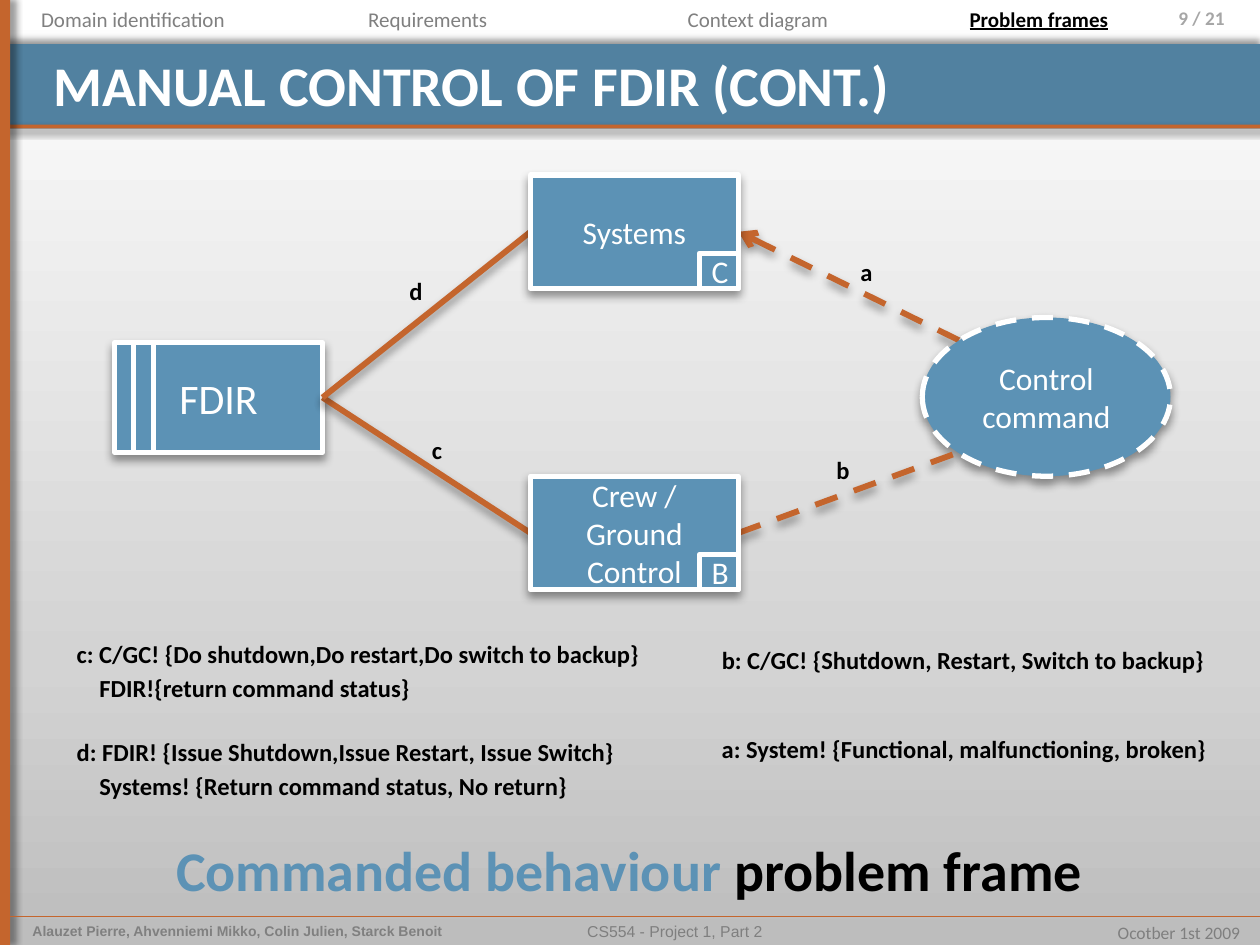
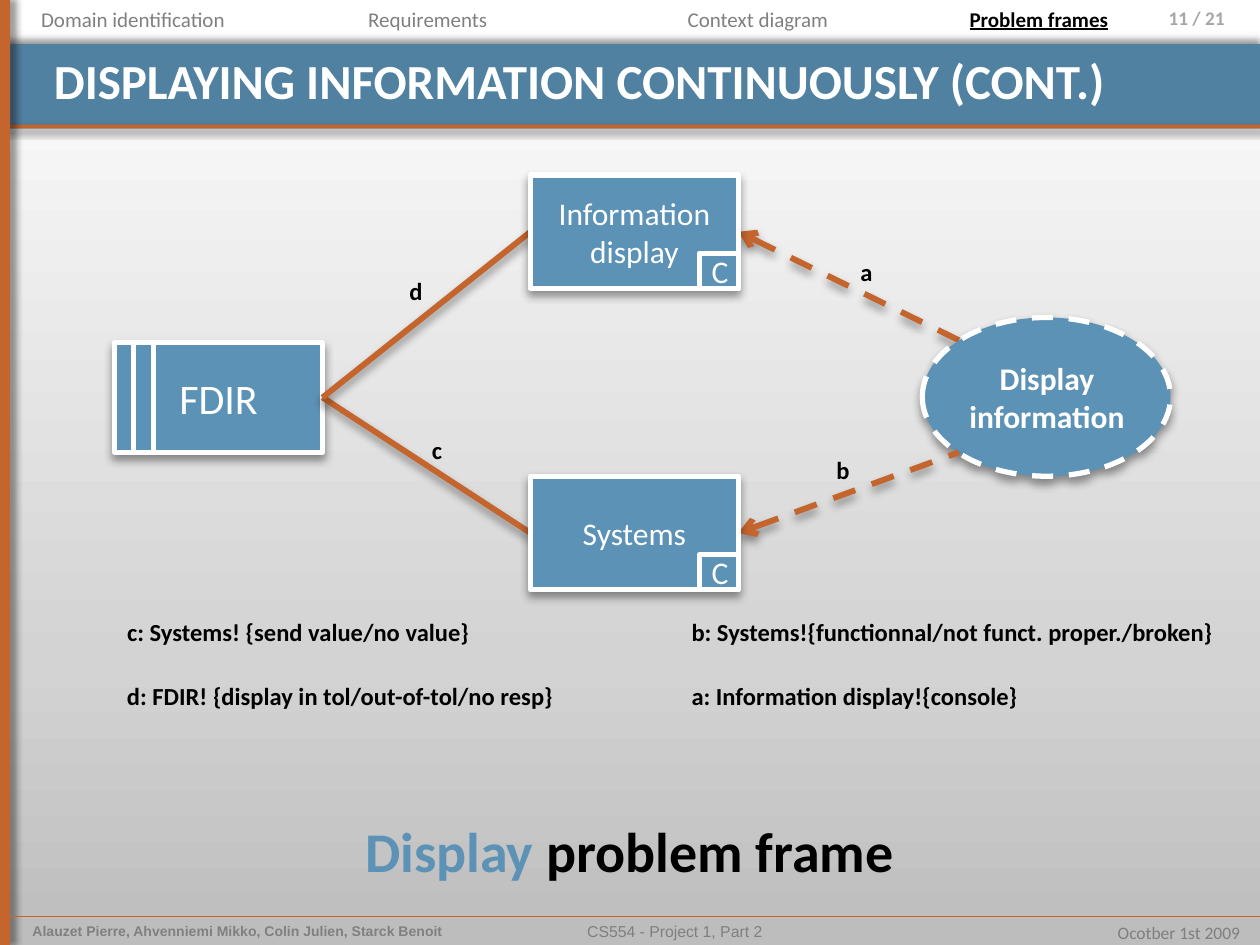
from copy import deepcopy
from dataclasses import dataclass

from lxml.etree import SubElement
from pptx import Presentation
from pptx.dml.color import RGBColor
from pptx.enum.dml import MSO_LINE_DASH_STYLE as Dash
from pptx.enum.shapes import MSO_CONNECTOR as Connector, MSO_SHAPE as Shape
from pptx.enum.text import MSO_ANCHOR as Anchor, PP_ALIGN as Align
from pptx.oxml.ns import qn
from pptx.util import Inches, Pt


@dataclass(frozen=True)
class Style:
    size: float
    color: str
    bold: bool = False
    underline: bool = False
    font: str = "Calibri"


@dataclass(frozen=True)
class Theme:
    band = "5181A0"
    accent = "C4652D"
    box = "5C92B5"
    white = "FFFFFF"
    background = ((0, "BDBDBD"), (0.3, "D3D3D3"), (1, "FFFFFF"))
    outline = 3
    link = 3.35
    frame_shadow = (4, 3)
    box_shadow = (5.2, 3, 90)
    nav = Style(12, "808080")
    nav_active = Style(12, "000000", bold=True, underline=True)
    page = Style(11, "A6A6A6", bold=True)
    authors = Style(8, "808080", bold=True, font="Arial")
    course = Style(9, "7F7F7F", font="Arial")
    date = Style(10, "7F7F7F")
    machine = Style(24, "FFFFFF")
    domain = Style(18, "FFFFFF")
    requirement = Style(18, "FFFFFF", bold=True)
    label = Style(14, "000000", bold=True)
    frame_name = Style(32, "5C92B5", bold=True)
    frame_word = Style(32, "000000", bold=True)


THEME = Theme()

AUTHORS = "Alauzet Pierre, Ahvenniemi Mikko, Colin Julien, Starck Benoit"
COURSE = "CS554 - Project 1, Part 2"
DATE = "Ocotber 1st 2009"
PAGE_COUNT = 21
SECTIONS = [
    ("Domain identification", 0, 2.11),
    ("Requirements", 2.34, 2.11),
    ("Context diagram", 4.61, 2.81),
    ("Problem frames", 7.19, 2.11),
]
ACTIVE_SECTION = "Problem frames"

MACHINE = (0.91, 2.72, 1.65, 0.87)
MACHINE_STRIPES = (1.06, 1.22)
REQUIREMENT = (7.32, 2.52, 1.97, 1.26)
REQUIREMENT_TEXT = (7.56, 2.8, 1.5, 0.71)
DOMAIN_LEFT, DOMAIN_WIDTH, DOMAIN_HEIGHT = 4.21, 1.65, 0.9
DOMAIN_TOPS = (1.39, 3.78)
TAG_WIDTH, TAG_HEIGHT = 0.31, 0.28
LINK_LABELS = [("b", 6.54, 3.56), ("a", 6.73, 1.99), ("c", 3.33, 3.4), ("d", 3.15, 2.14)]

SLIDES = [
    {
        "page": 9,
        "title": ("MANUAL CONTROL OF FDIR (CONT.)", 32),
        "domains": [("Systems", "C"), ("Crew / Ground Control", "B")],
        "requirement": "Control command",
        "separate_text": False,
        "lower_arrow": False,
        "interfaces": [
            (5.63, 5.07, 4.11, ["b: C/GC! {Shutdown, Restart, Switch to backup}"]),
            (0.51, 5.02, 4.71, ["c: C/GC! {Do shutdown,Do restart,Do switch to backup}",
                                "FDIR!{return command status}"]),
            (0.51, 5.8, 4.51, ["d: FDIR! {Issue Shutdown,Issue Restart, Issue Switch}",
                               "Systems! {Return command status, No return}"]),
            (5.63, 5.78, 4.13, ["a: System! {Functional, malfunctioning, broken}"]),
        ],
        "frame": ("Commanded behaviour ", 1.3, 6.58, 7.47),
    },
    {
        "page": 11,
        "title": ("DISPLAYING INFORMATION CONTINUOUSLY (CONT.)", 28),
        "domains": [("Information display", "C"), ("Systems", "C")],
        "requirement": "Display information",
        "separate_text": True,
        "lower_arrow": True,
        "interfaces": [
            (5.39, 4.85, 4.45, ["b: Systems!{functionnal/not funct. proper./broken}"]),
            (0.91, 4.85, 2.95, ["c: Systems! {send value/no value}"]),
            (0.91, 5.36, 3.63, ["d: FDIR! {display in tol/out-of-tol/no resp}"]),
            (5.39, 5.36, 2.86, ["a: Information display!{console}"]),
        ],
        "frame": ("Display ", 2.8, 6.43, 4.56),
    },
]


def color(value):
    return RGBColor.from_string(value)


def set_effects(shape, shadow=None):
    properties = shape.element.find(qn("p:spPr"))
    effects = SubElement(properties, qn("a:effectLst"))
    if shadow:
        blur, distance, direction = shadow
        outer = SubElement(effects, qn("a:outerShdw"), blurRad=str(Pt(blur)),
                           dist=str(Pt(distance)), dir=str(direction * 60000), rotWithShape="0")
        black = SubElement(outer, qn("a:srgbClr"), val="000000")
        SubElement(black, qn("a:alpha"), val="40000")


def write_paragraph(paragraph, runs, align):
    paragraph.alignment = align
    for text, style in runs:
        run = paragraph.add_run()
        run.text = text
        font = run.font
        font.name, font.size = style.font, Pt(style.size)
        font.bold, font.underline = style.bold, style.underline
        font.color.rgb = color(style.color)


def add_text(shapes, place, lines, align=Align.LEFT, wrap=True):
    frame = shapes.add_textbox(*map(Inches, place)).text_frame
    frame.word_wrap = wrap
    for index, runs in enumerate(lines):
        paragraph = frame.add_paragraph() if index else frame.paragraphs[0]
        write_paragraph(paragraph, runs, align)
        if index:
            paragraph.space_before = Pt(2.5)
            paragraph._p.get_or_add_pPr().set("marL", str(Inches(0.18)))
    return frame


def add_box(shapes, kind, place, fill, outline=None, dash=None, shadow=None, text="", style=None):
    shape = shapes.add_shape(kind, *map(Inches, place))
    shape.fill.solid()
    shape.fill.fore_color.rgb = color(fill)
    if outline:
        shape.line.color.rgb = color(outline)
        shape.line.width = Pt(THEME.outline)
        if dash:
            shape.line.dash_style = dash
    else:
        shape.line.fill.background()
    set_effects(shape, shadow)
    if text:
        shape.text_frame.vertical_anchor = Anchor.MIDDLE
        write_paragraph(shape.text_frame.paragraphs[0], [(text, style)], Align.CENTER)


def add_line(shapes, start, end, line_color, width, dash=None, arrow=None, shadow=None):
    line = shapes.add_connector(Connector.STRAIGHT, *map(Inches, start + end))
    line.line.color.rgb = color(line_color)
    line.line.width = Pt(width)
    if dash:
        line.line.dash_style = dash
    if arrow:
        SubElement(line.line._get_or_add_ln(), qn(arrow), type="arrow")
    set_effects(line, shadow)


def set_background(slide):
    fill = slide.background.fill
    fill.gradient()
    fill.gradient_angle = 90
    stop_list = slide.element.find(".//" + qn("a:gsLst"))
    stop_list.append(deepcopy(stop_list[-1]))
    for stop, (position, value) in zip(fill.gradient_stops, THEME.background):
        stop.position = position
        stop.color.rgb = color(value)


def add_slide_frame(slide, page, title):
    set_background(slide)
    shapes = slide.shapes
    for place, fill, direction in [
        ((0, 0.35, 10, 0.67), THEME.band, 270),
        ((0, 0.99, 10, 0.03), THEME.accent, 45),
        ((0, 0, 0.08, 7.5), THEME.accent, 0),
    ]:
        add_box(shapes, Shape.RECTANGLE, place, fill, shadow=(*THEME.frame_shadow, direction))
    add_line(shapes, (0.08, 7.27), (10, 7.27), THEME.accent, 0.25,
             shadow=(*THEME.frame_shadow, 45))
    add_text(shapes, (0.16, 7.27, 3.67, 0.23), [[(AUTHORS, THEME.authors)]])
    add_text(shapes, (2.27, 7.27, 6.17, 0.23), [[(COURSE, THEME.course)]], Align.CENTER)
    add_text(shapes, (8.71, 7.27, 1.23, 0.27), [[(DATE, THEME.date)]], Align.RIGHT, wrap=False)
    number = add_text(shapes, (8.83, 0, 1.17, 0.39),
                      [[(f"{page} / {PAGE_COUNT}", THEME.page)]], Align.RIGHT)
    number.margin_right = Inches(0.28)
    text, size = title
    add_text(shapes, (0.33, 0.35, 9.28, 0.58), [[(text, Style(size, THEME.white, bold=True))]])
    for section, left, width in SECTIONS:
        style = THEME.nav_active if section == ACTIVE_SECTION else THEME.nav
        add_text(shapes, (left, 0, width, 0.3), [[(section, style)]], Align.CENTER)


def add_machine(slide):
    shapes = slide.shapes.add_group_shape().shapes
    top, height = MACHINE[1], MACHINE[3]
    add_box(shapes, Shape.RECTANGLE, MACHINE, THEME.box, THEME.white,
            shadow=THEME.box_shadow, text="FDIR", style=THEME.machine)
    for x in MACHINE_STRIPES:
        add_line(shapes, (x, top), (x, top + height), THEME.white, THEME.outline)


def add_requirement(slide, text, separate_text):
    shapes = slide.shapes.add_group_shape().shapes
    add_box(shapes, Shape.OVAL, REQUIREMENT, THEME.box, THEME.white, Dash.DASH,
            THEME.box_shadow, "" if separate_text else text, THEME.domain)
    if separate_text:
        add_text(shapes, REQUIREMENT_TEXT, [[(text, THEME.requirement)]], Align.CENTER)


def add_domain(slide, top, name, tag):
    shapes = slide.shapes.add_group_shape().shapes
    add_box(shapes, Shape.RECTANGLE, (DOMAIN_LEFT, top, DOMAIN_WIDTH, DOMAIN_HEIGHT),
            THEME.box, THEME.white, shadow=THEME.box_shadow, text=name, style=THEME.domain)
    corner = (DOMAIN_LEFT + DOMAIN_WIDTH - TAG_WIDTH, top + DOMAIN_HEIGHT - TAG_HEIGHT)
    add_box(shapes, Shape.RECTANGLE, (*corner, TAG_WIDTH, TAG_HEIGHT),
            THEME.box, THEME.white, text=tag, style=THEME.domain)


def add_diagram(slide, content):
    shapes = slide.shapes
    upper, lower = (top + DOMAIN_HEIGHT / 2 for top in DOMAIN_TOPS)
    domain_right = DOMAIN_LEFT + DOMAIN_WIDTH
    machine_port = (MACHINE[0] + MACHINE[2], MACHINE[1] + MACHINE[3] / 2)
    link = {"line_color": THEME.accent, "width": THEME.link, "shadow": THEME.box_shadow}

    add_line(shapes, (7.61, 2.7), (domain_right, upper), dash=Dash.DASH,
             arrow="a:tailEnd", **link)
    add_machine(slide)
    add_requirement(slide, content["requirement"], content["separate_text"])
    add_line(shapes, (domain_right, lower), (7.61, 3.59), dash=Dash.DASH,
             arrow="a:headEnd" if content["lower_arrow"] else None, **link)
    for y in (lower, upper):
        add_line(shapes, machine_port, (DOMAIN_LEFT, y), **link)
    for top, (name, tag) in zip(DOMAIN_TOPS, content["domains"]):
        add_domain(slide, top, name, tag)
    for letter, left, top in LINK_LABELS:
        add_text(shapes, (left, top, 0.34, 0.34), [[(letter, THEME.label)]], wrap=False)


def add_captions(slide, content):
    for left, top, width, lines in content["interfaces"]:
        height = 0.06 + 0.28 * len(lines)
        add_text(slide.shapes, (left, top, width, height),
                 [[(line, THEME.label)] for line in lines], wrap=False)
    name, left, top, width = content["frame"]
    add_text(slide.shapes, (left, top, width, 0.64),
             [[(name, THEME.frame_name), ("problem frame", THEME.frame_word)]], wrap=False)


def main():
    presentation = Presentation()
    presentation.slide_width, presentation.slide_height = Inches(10), Inches(7.5)
    for content in SLIDES:
        slide = presentation.slides.add_slide(presentation.slide_layouts[6])
        add_slide_frame(slide, content["page"], content["title"])
        add_diagram(slide, content)
        add_captions(slide, content)
    presentation.save("out.pptx")


if __name__ == "__main__":
    main()
